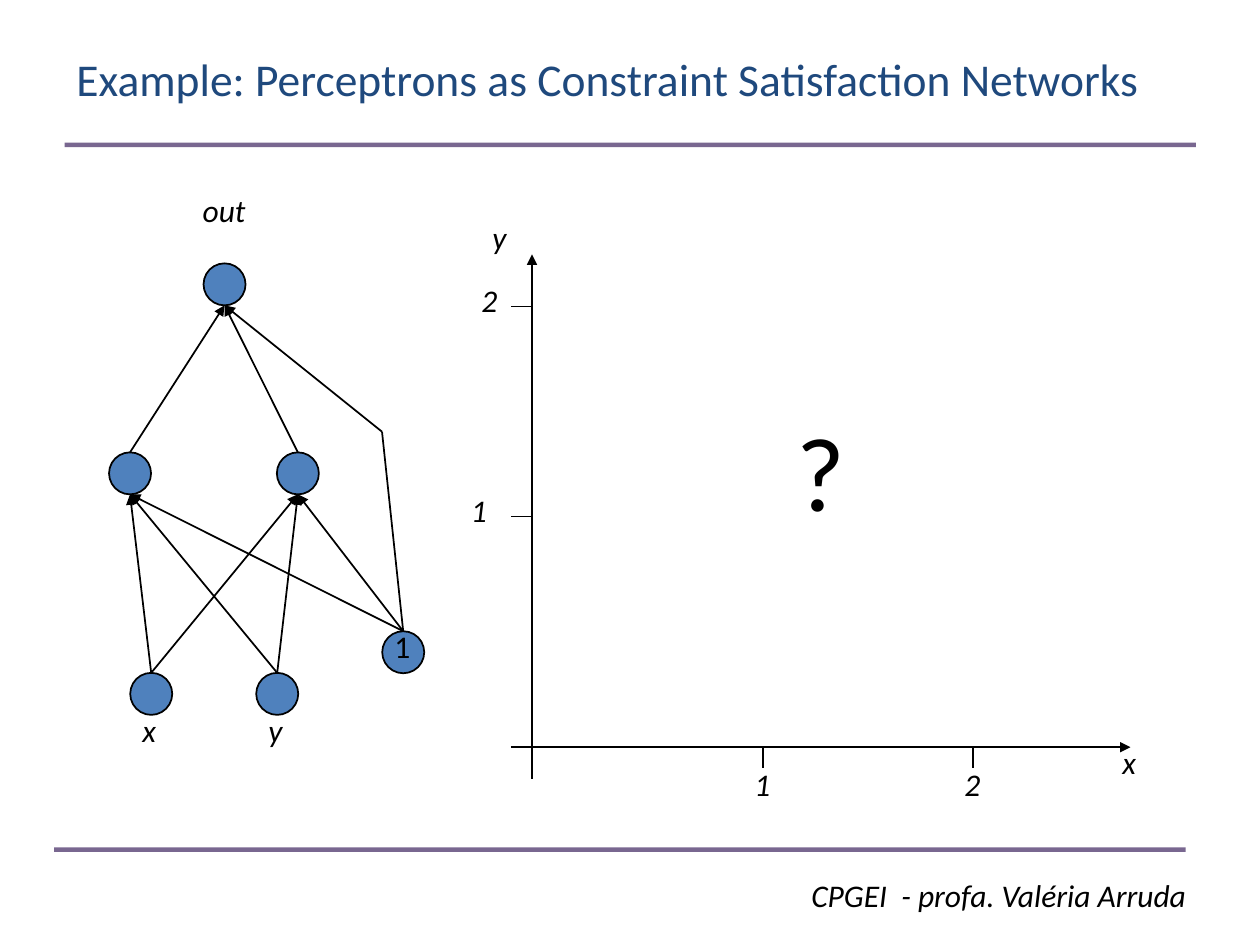
import pptx
import pptx.dml.color
import pptx.enum.shapes
import pptx.enum.text
import pptx.util
from dataclasses import dataclass
from lxml import etree
from pptx.oxml.ns import qn

Pt = pptx.util.Pt
RGB = pptx.dml.color.RGBColor


@dataclass(frozen=True)
class Theme:
    font: str = "Calibri"
    title: RGB = RGB(0x1F, 0x49, 0x7D)
    ink: RGB = RGB(0, 0, 0)
    node: RGB = RGB(0x4F, 0x81, 0xBD)
    rule: RGB = RGB(0x60, 0x4A, 0x7B)
    title_size: int = 26
    label_size: int = 18
    question_size: int = 60


theme = Theme()
presentation = pptx.Presentation()
presentation.slide_width = Pt(720)
presentation.slide_height = Pt(540)
slide = presentation.slides.add_slide(presentation.slide_layouts[5])
shapes = slide.shapes


def add_line(start, end, arrow=False, color=theme.ink, width=1):
    line = shapes.add_connector(
        pptx.enum.shapes.MSO_CONNECTOR.STRAIGHT, *(Pt(v) for v in (*start, *end))
    )
    line.line.color.rgb = color
    line.line.width = Pt(width)
    properties = line._element.spPr
    if arrow:
        etree.SubElement(properties.find(qn("a:ln")), qn("a:tailEnd"), type="triangle")
    etree.SubElement(properties, qn("a:effectLst"))
    return line


def add_label(text, left, top, width, height=36, size=theme.label_size, italic=True):
    frame = shapes.add_textbox(Pt(left), Pt(top), Pt(width), Pt(height)).text_frame
    frame.word_wrap = False
    frame.auto_size = pptx.enum.text.MSO_AUTO_SIZE.SHAPE_TO_FIT_TEXT
    paragraph = frame.paragraphs[0]
    paragraph.text = text
    paragraph.font.name = theme.font
    paragraph.font.size = Pt(size)
    paragraph.font.italic = italic
    paragraph.font.color.rgb = theme.ink


heading = shapes.title
heading.left, heading.top, heading.width, heading.height = Pt(36.5), Pt(0), Pt(662), Pt(90)
heading.text_frame.word_wrap = True
heading.text_frame.vertical_anchor = pptx.enum.text.MSO_ANCHOR.MIDDLE
heading_line = heading.text_frame.paragraphs[0]
heading_line.text = "Example: Perceptrons as Constraint Satisfaction Networks"
heading_line.alignment = pptx.enum.text.PP_ALIGN.LEFT
heading_line.font.name = theme.font
heading_line.font.size = Pt(theme.title_size)
heading_line.font.color.rgb = theme.title

for rule_left, rule_y in ((36.9, 82.8), (31, 485.5)):
    rule = add_line((rule_left, rule_y), (rule_left + 646.5, rule_y), False, theme.rule, 2.5)
    rule_color = rule._element.spPr.find(qn("a:ln")).find(".//" + qn("a:srgbClr"))
    etree.SubElement(rule_color, qn("a:alpha"), val="83000")
add_label("CPGEI  - profa. Valéria Arruda", 456.5, 496.8, 231, 29)

radius = 12
neurons = {
    "x": (86.4, 396.5),
    "y": (158.4, 396.5),
    "bias": (230.4, 372.7),
    "hidden left": (74.3, 270.5),
    "hidden right": (170.2, 270.5),
    "out": (128.3, 162.5),
}
for center_x, center_y in neurons.values():
    neuron = shapes.add_shape(
        pptx.enum.shapes.MSO_SHAPE.OVAL,
        Pt(center_x - radius), Pt(center_y - radius), Pt(2 * radius), Pt(2 * radius),
    )
    neuron.shadow.inherit = False
    neuron.fill.solid()
    neuron.fill.fore_color.rgb = theme.node
    neuron.line.color.rgb = theme.ink
    neuron.line.width = Pt(1)

tops = {name: (x, y - radius) for name, (x, y) in neurons.items()}
bottoms = {name: (x, y + radius) for name, (x, y) in neurons.items()}
for hidden in ("hidden left", "hidden right"):
    for source in ("x", "y", "bias"):
        add_line(tops[source], bottoms[hidden], True)
    add_line(tops[hidden], bottoms["out"], True)
bias_bend = (218.3, 246.7)
add_line(tops["bias"], bias_bend)
add_line(bias_bend, bottoms["out"], True)

add_label("x", 74.3, 402.5, 25)
add_label("y", 146.3, 402.5, 25)
add_label("out", 108.7, 105.8, 45.5)
add_label("1", 218.3, 355, 26.5, italic=False)

origin_x, origin_y, tick = 304, 427, 12
add_line((origin_x - tick, origin_y), (646, origin_y), True)
add_line((origin_x, 445), (origin_x, 145.4), True)
add_label("x", 634.3, 421.2, 25)
add_label("y", 274.3, 121, 25)
for value, tick_x in (("1", 436), ("2", 556)):
    add_line((tick_x, origin_y), (tick_x, origin_y + tick))
    add_label(value, tick_x - 12, 433.4, 26.5)
for value, tick_y, label_left in (("1", 295.2, 262), ("2", 175.2, 268)):
    add_line((origin_x, tick_y), (origin_x - tick, tick_y))
    add_label(value, label_left, tick_y - 18, 26.5)
add_label("?", 448, 229, 41, 79, theme.question_size, False)

presentation.save("out.pptx")
